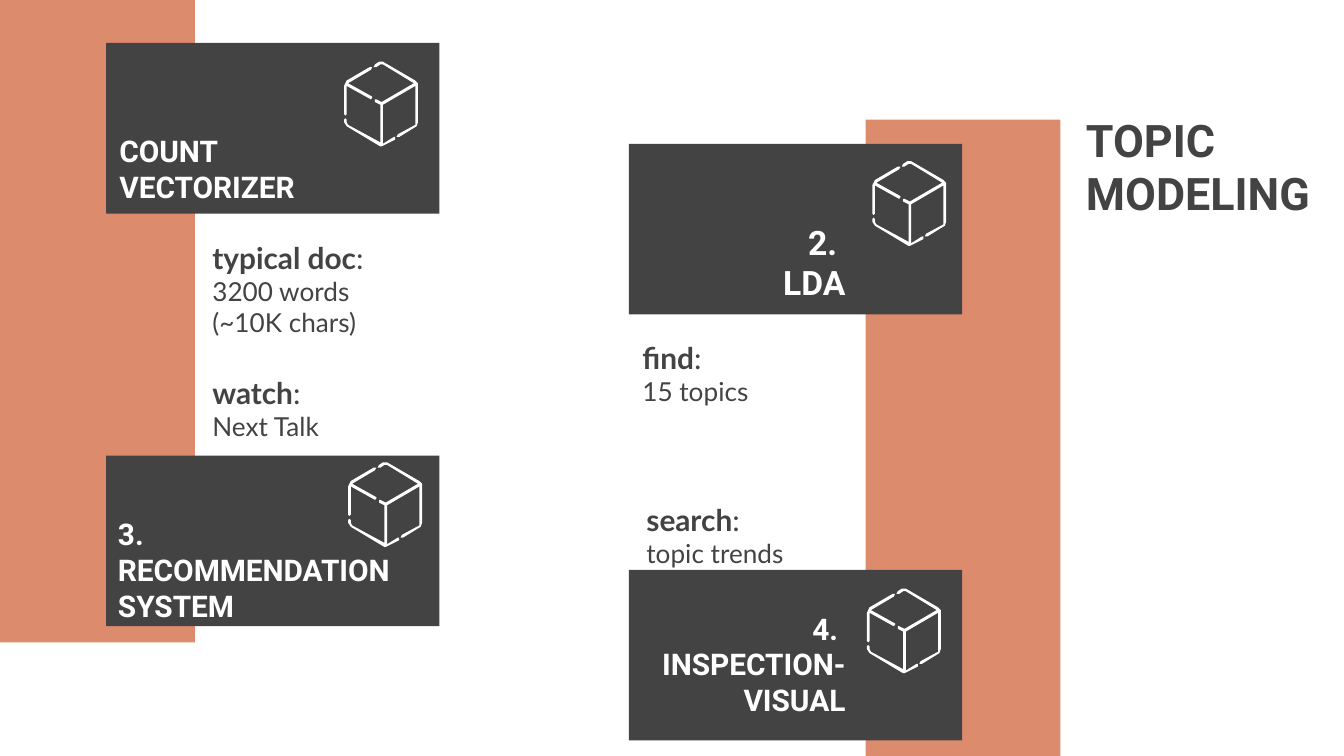
from pptx import Presentation
from pptx.enum import shapes, text
from pptx.oxml import parse_xml
from pptx.oxml import ns
from pptx.dml.color import RGBColor
from pptx.util import Inches, Pt

COLORS = {"band": "D16138", "dark": "434343", "white": "FFFFFF"}
CARD_SIZE = (2.48, 1.27)
BAND_SIZE = (1.45, 4.78)
BANDS = [(6.44, 0.89), (0, 0)]

CARDS = [
    ((0.79, 0.32), (2.56, 0.46), (0.79, 1.2, 2.86, 0.42),
     ["COUNT", "VECTORIZER"], 16, "LEFT"),
    ((4.68, 1.07), (6.49, 1.2), (3.53, 1.93, 2.86, 0.42),
     ["2. ", "LDA"], 18, "RIGHT"),
    ((0.79, 3.39), (2.59, 3.44), (0.78, 4.32, 2.86, 0.42),
     ["3.", "RECOMMENDATION SYSTEM"], 16, "LEFT"),
    ((4.68, 4.24), (6.45, 4.38), (4.76, 5.02, 1.63, 0.42),
     ["4. ", "INSPECTION-VISUAL"], 16, "RIGHT"),
]

CAPTIONS = [
    ((1.48, 1.68, 1.78, 0.67), "typical doc", ["3200 words", "(~10K chars)"]),
    ((4.68, 2.43, 1.68, 0.67), "find", ["15 topics"]),
    ((1.48, 2.69, 1.78, 0.67), "watch", ["Next Talk"]),
    ((4.71, 3.63, 1.63, 0.67), "search", ["topic trends"]),
]

CUBE_FRAME = [
    (0.28, 0), (0.26, 0), (0.23, 0.02), (0.22, 0.04), (0.23, 0.04),
    (0.24, 0.04), (0.27, 0.02), (0.28, 0.02), (0.29, 0.02), (0.52, 0.16),
    (0.28, 0.3), (0.24, 0.28), (0.23, 0.28), (0.23, 0.3), (0.27, 0.32),
    (0.27, 0.6), (0.03, 0.47), (0.02, 0.45), (0.02, 0.43), (0.01, 0.42),
    (0, 0.43), (0, 0.45), (0.02, 0.48), (0.27, 0.63), (0.28, 0.63),
    (0.38, 0.58), (0.38, 0.56), (0.37, 0.56), (0.29, 0.61), (0.29, 0.32),
    (0.53, 0.18), (0.53, 0.45), (0.53, 0.47), (0.4, 0.54), (0.39, 0.56),
    (0.4, 0.56), (0.41, 0.56), (0.54, 0.48), (0.55, 0.45), (0.55, 0.18),
    (0.55, 0.16), (0.53, 0.14), (0.29, 0),
]
CUBE_SIDE = [
    (0.2, 0.04), (0.19, 0.04), (0.02, 0.14), (0.01, 0.16), (0, 0.18),
    (0, 0.39), (0.01, 0.4), (0.02, 0.39), (0.02, 0.18), (0.2, 0.28),
    (0.21, 0.27), (0.21, 0.26), (0.03, 0.16), (0.2, 0.06), (0.21, 0.04),
]


def color(name):
    return RGBColor.from_string(COLORS[name])


def paint(s, name, alpha=None):
    s.shadow.inherit = False
    s.fill.solid()
    s.fill.fore_color.rgb = color(name)
    s.line.fill.background()
    if alpha:
        clr = s.element.spPr.find(".//" + ns.qn("a:srgbClr"))
        clr.append(parse_xml(
            f'<a:alpha {ns.nsdecls("a")} val="{alpha * 1000}"/>'))


def add_rect(sl, at, size, fill, alpha=None):
    s = sl.shapes.add_shape(shapes.MSO_SHAPE.RECTANGLE,
                            *map(Inches, at + size))
    paint(s, fill, alpha)


def add_cube(sl, at):
    group = sl.shapes.add_group_shape()
    for outline in (CUBE_FRAME, CUBE_SIDE):
        points = [(Inches(at[0] + x), Inches(at[1] + y)) for x, y in outline]
        builder = group.shapes.build_freeform(*points[0])
        builder.add_line_segments(points[1:], close=True)
        paint(builder.convert_to_shape(), "white")


def setup_frame(sp, box, anchor):
    sp.left, sp.top, sp.width, sp.height = map(Inches, box)
    tf = sp.text_frame
    tf.word_wrap = True
    tf.auto_size = text.MSO_AUTO_SIZE.NONE
    tf.vertical_anchor = anchor
    tf.margin_left = tf.margin_right = Inches(0.1)
    tf.margin_top = tf.margin_bottom = Inches(0.1)
    return tf


def add_line(tf, index, runs, align="LEFT"):
    p = tf.paragraphs[0] if index == 0 else tf.add_paragraph()
    pPr = p._p.get_or_add_pPr()
    pPr.set("marL", "0")
    pPr.set("indent", "0")
    pPr.append(parse_xml(f'<a:buNone {ns.nsdecls("a")}/>'))
    p.alignment = getattr(text.PP_ALIGN, align)
    p.space_before = Pt(0)
    for words, font, size, fill, bold in runs:
        r = p.add_run()
        r.text = words
        r.font.name = font
        r.font.size = Pt(size)
        r.font.bold = bold
        r.font.color.rgb = color(fill)


def fill_heading(sp, box, lines, size, fill, align, anchor):
    tf = setup_frame(sp, box, anchor)
    for i, line in enumerate(lines):
        add_line(tf, i, [(line, "Roboto", size, fill, True)], align)


def fill_caption(sp, box, label, lines):
    tf = setup_frame(sp, box, text.MSO_ANCHOR.TOP)
    add_line(tf, 0, [(label, "Lato", 16, "dark", True),
                     (":", "Lato", 16, "dark", False)])
    for i, line in enumerate(lines, 1):
        add_line(tf, i, [(line, "Lato", 14, "dark", False)])


def add_card(sl, at, cube_at, box, lines, size, align):
    add_rect(sl, at, CARD_SIZE, "dark")
    add_cube(sl, cube_at)
    sp = sl.shapes.add_textbox(0, 0, 0, 0)
    fill_heading(sp, box, lines, size, "white", align, text.MSO_ANCHOR.BOTTOM)


def main():
    prs = Presentation()
    prs.slide_width = Inches(10)
    prs.slide_height = prs.slide_width * 9 // 16
    comparison = prs.slide_layouts.get_by_name("Comparison")
    sl = prs.slides.add_slide(comparison)
    title, *bodies = sl.placeholders

    fill_heading(title, (7.98, 0.97, 4.24, 0.53), ["TOPIC", "MODELING"],
                 24, "dark", "LEFT", text.MSO_ANCHOR.MIDDLE)
    for sp, caption in zip(bodies, CAPTIONS):
        fill_caption(sp, *caption)
    for at in BANDS:
        add_rect(sl, at, BAND_SIZE, "band", 73)
    for card in CARDS:
        add_card(sl, *card)
    prs.save("out.pptx")


if __name__ == "__main__":
    main()
